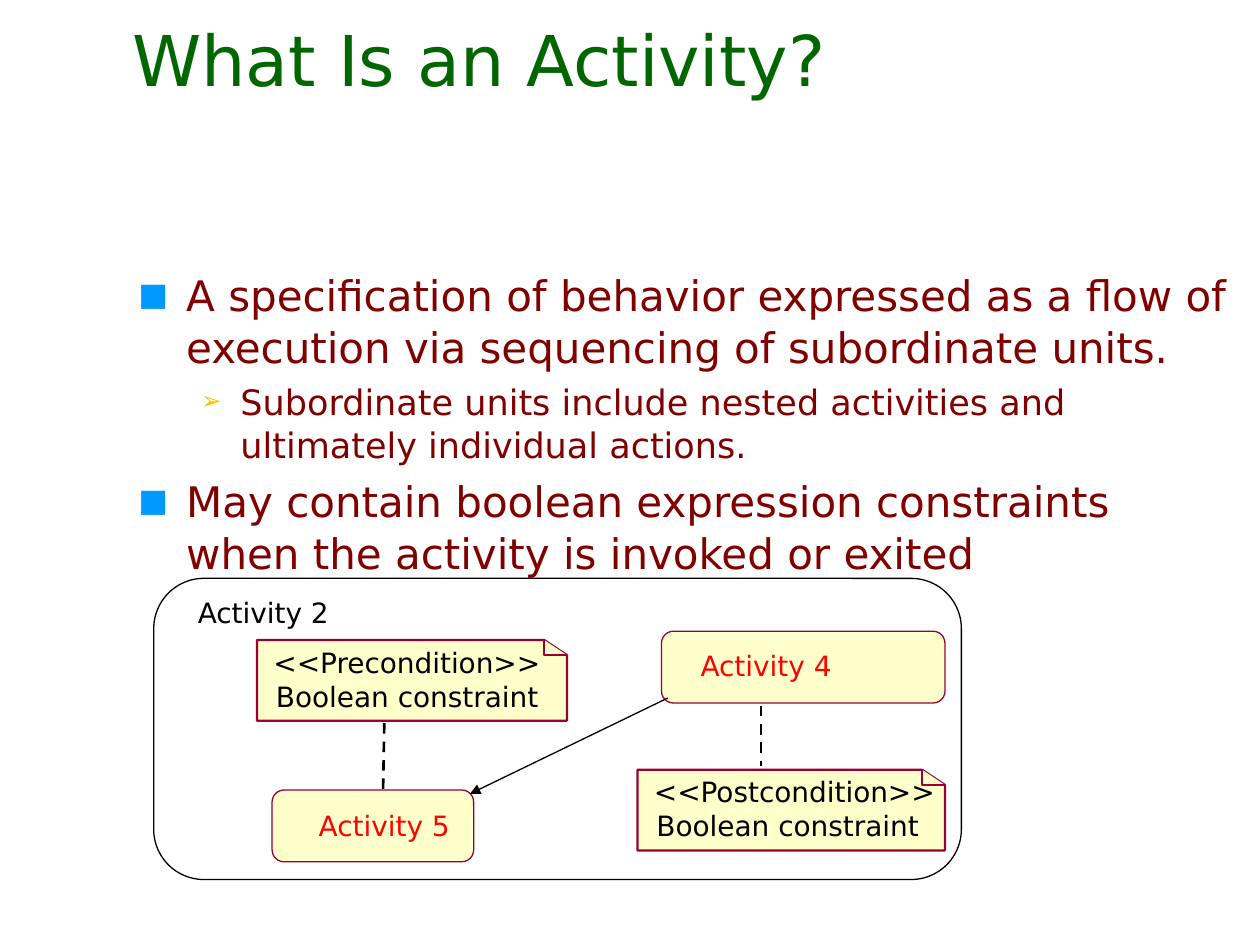
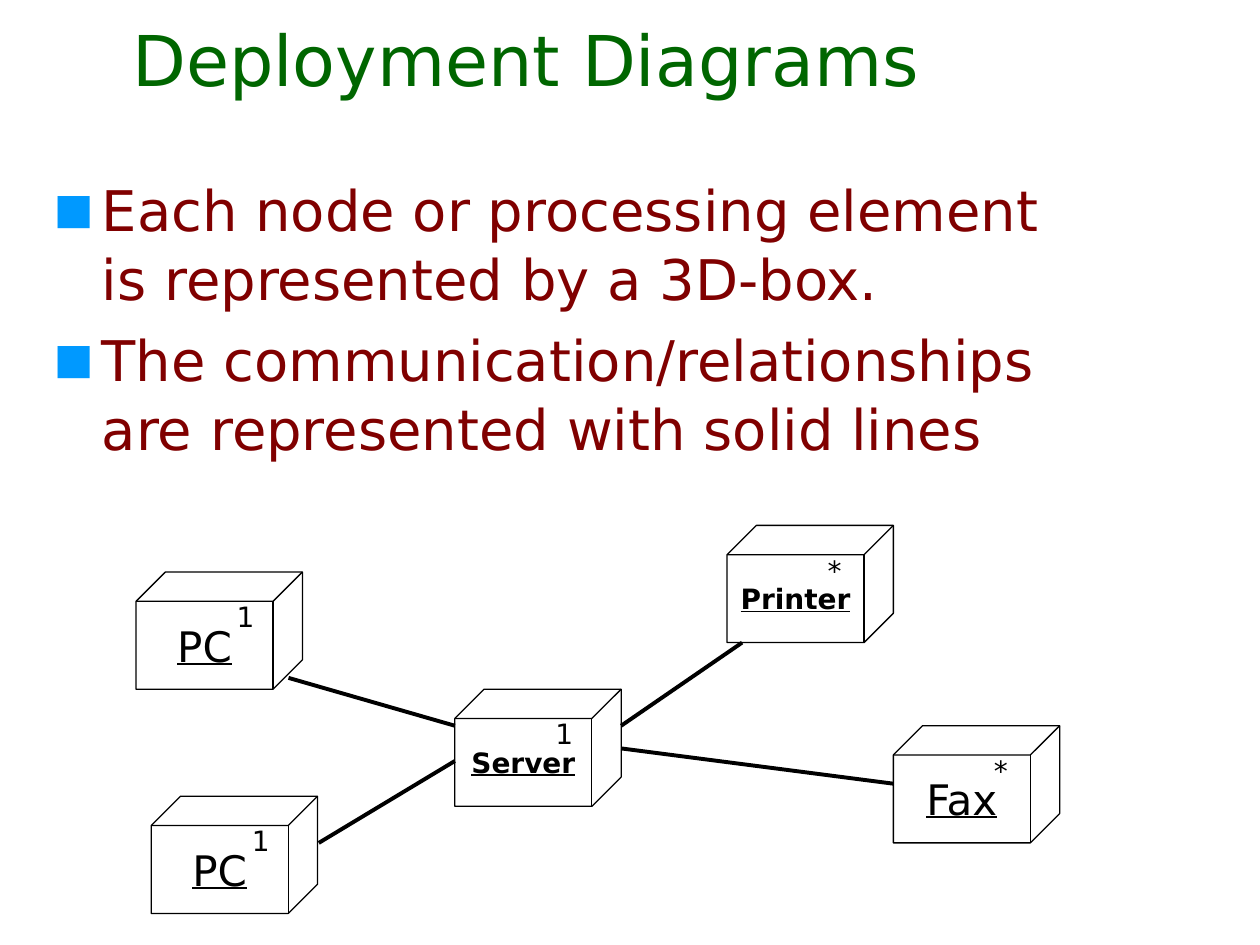
from dataclasses import dataclass
from lxml.etree import SubElement
from pptx import Presentation
from pptx.dml.color import RGBColor as RGB
from pptx.enum.dml import MSO_LINE_DASH_STYLE as Dash
from pptx.enum.shapes import MSO_CONNECTOR as Conn, MSO_SHAPE as Shape
from pptx.enum.text import MSO_ANCHOR as Anchor, MSO_AUTO_SIZE as Auto, PP_ALIGN as Align
from pptx.oxml.ns import qn
from pptx.util import Inches, Pt


@dataclass(frozen=True)
class Theme:
    font: str = "DejaVu Sans"
    title: str = "006600"
    body: str = "800000"
    ink: str = "000000"
    activity: str = "FF0000"
    cream: str = "FFFFCC"
    wine: str = "990033"
    title_size: int = 40
    label_size: int = 16
    node_size: int = 24


T = Theme()
TITLE_BOX = (0.95, 0.08, 8.93, 0.77)
# level: (text indent, hanging indent, bullet, bullet colour, bullet size %)
BULLETS = [(0.38, 0.38, "■", "0099FF", 75), (0.81, 0.31, "➢", "FFC000", 70)]

# Activity slide content
ACTIVITY_TITLE = "What Is an Activity?"
ACTIVITY_BODY = (1, 2.08, 8.87, 4.58)
ACTIVITY_POINTS = [  # text, level, size
    ("A specification of behavior expressed as a flow of execution via "
     "sequencing of subordinate units.", 0, 24),
    ("Subordinate units include nested activities and ultimately "
     "individual actions.", 1, 20),
    ("May contain boolean expression constraints when the activity is "
     "invoked or exited", 0, 24),
]
NOTES = [  # left, top, width, lines
    (2.04, 5.08, 2.46, ("<<Precondition>>", "Boolean constraint")),
    (5.06, 6.11, 2.44, ("<<Postcondition>>", "Boolean constraint")),
]
NOTE_H, FOLD_W, FOLD_H = 0.64, 0.18, 0.12
ACTIVITIES = [  # name, box, label box, fill, line, text colour
    ("Activity 5", (2.16, 6.27, 1.6, 0.57), (2.41, 6.36, 1.43, 0.39),
     T.cream, T.wine, T.activity),
    ("Activity 4", (5.25, 5.01, 2.25, 0.57), (5.44, 5.09, 1.81, 0.39),
     T.cream, T.wine, T.activity),
    ("Activity 2", (1.22, 4.59, 6.41, 2.39), (1.45, 4.67, 1.55, 0.39),
     None, T.ink, T.ink),
]
NOTE_LINKS = [((3.05, 5.74), (3.04, 6.29)), ((6.04, 5.6), (6.04, 6.08))]
FLOW = ((5.3, 5.54), (3.73, 6.3))

# Deployment slide content
DEPLOY_TITLE = "Deployment Diagrams"
DEPLOY_BODY = (0.33, 1.33, 8.5, 2.42)
DEPLOY_POINTS = [
    ("Each node or processing element is represented by a 3D-box.", 0, 32),
    ("The communication/relationships are represented with solid lines", 0, 32),
]
NODE_W, NODE_H = 1.32, 0.93
NODES = [  # name, multiplicity, left, top, size, bold
    ("PC", "1", 1.08, 4.54, T.node_size, False),
    ("PC", "1", 1.2, 6.32, T.node_size, False),
    ("Server", "1", 3.61, 5.47, T.label_size, True),
    ("Printer", "*", 5.77, 4.17, T.label_size, True),
    ("Fax", "*", 7.09, 5.76, T.node_size, False),
]
NODE_LINKS = [
    ((4.93, 5.76), (5.89, 5.1)),
    ((4.93, 5.94), (7.09, 6.22)),
    ((2.29, 5.38), (3.61, 5.76)),
    ((2.53, 6.69), (3.61, 6.04)),
]


# Shared helpers
def inches(values):
    return [Inches(v) for v in values]


def format_runs(p, size, color, bold=False, underline=False):
    for r in p.runs:
        f = r.font
        f.name, f.size, f.bold, f.underline = T.font, Pt(size), bold, underline
        f.color.rgb = RGB.from_string(color)


def style(sp, fill, line, width):
    sp.shadow.inherit = False
    if fill:
        sp.fill.solid()
        sp.fill.fore_color.rgb = RGB.from_string(fill)
    else:
        sp.fill.background()
    sp.line.color.rgb = RGB.from_string(line)
    sp.line.width = Pt(width)


def add_label(s, text, box, color=T.ink, inset=(0.1, 0.05), wrap=True):
    tf = s.shapes.add_textbox(*inches(box)).text_frame
    tf.word_wrap = wrap
    tf.margin_left = tf.margin_right = Inches(inset[0])
    tf.margin_top = tf.margin_bottom = Inches(inset[1])
    tf.text = text
    format_runs(tf.paragraphs[0], T.label_size, color)


def add_line(s, start, end, width, dashed=False, arrow=False):
    c = s.shapes.add_connector(Conn.STRAIGHT, *inches(start + end))
    c.line.color.rgb = RGB.from_string(T.ink)
    c.line.width = Pt(width)
    if dashed:
        c.line.dash_style = Dash.DASH
    if arrow:
        SubElement(c.line._get_or_add_ln(), qn("a:tailEnd"), type="triangle")
    SubElement(c._element.spPr, qn("a:effectLst"))


def add_bullet(p, level):
    left, hang, char, color, percent = BULLETS[level]
    p.level = level
    pPr = p._p.get_or_add_pPr()
    pPr.set("marL", str(Inches(left)))
    pPr.set("indent", str(-Inches(hang)))
    SubElement(SubElement(pPr, qn("a:buClr")), qn("a:srgbClr"), val=color)
    SubElement(pPr, qn("a:buSzPct"), val=str(percent * 1000))
    SubElement(pPr, qn("a:buFont"), typeface=T.font)
    SubElement(pPr, qn("a:buChar"), char=char)


def add_slide(prs, title, body_box, points):
    s = prs.slides.add_slide(prs.slide_layouts[5])
    sp = s.shapes.title
    sp.left, sp.top, sp.width, sp.height = inches(TITLE_BOX)
    tf = sp.text_frame
    tf.text = title
    tf.auto_size = Auto.NONE
    tf.vertical_anchor = Anchor.BOTTOM
    tf.paragraphs[0].alignment = Align.LEFT
    format_runs(tf.paragraphs[0], T.title_size, T.title)

    tf = s.shapes.add_textbox(*inches(body_box)).text_frame
    tf.word_wrap = True
    for i, (text, level, size) in enumerate(points):
        p = tf.add_paragraph() if i else tf.paragraphs[0]
        p.text = text
        p.line_spacing = 1.03
        if i:
            p.space_before = Pt(size * 0.2)
        add_bullet(p, level)
        format_runs(p, size, T.body)
    return s


# Diagram parts
def add_outline(s, points, close):
    start, *rest = [inches(pt) for pt in points]
    fb = s.shapes.build_freeform(*start)
    fb.add_line_segments(rest, close=close)
    style(fb.convert_to_shape(), T.cream, T.wine, 1.25)


def add_note(s, x, y, w, lines):
    right, bottom = x + w, y + NOTE_H
    fold_x, fold_y = right - FOLD_W, y + FOLD_H
    add_outline(s, [(x, y), (fold_x, y), (right, fold_y), (right, bottom),
                    (x, bottom)], True)
    add_outline(s, [(fold_x, y), (fold_x, fold_y), (right, fold_y)], False)
    for i, text in enumerate(lines):
        box = (x + 0.13 + 0.02 * i, y + 0.04 + 0.27 * i, 2.25, 0.27)
        add_label(s, text, box, inset=(0, 0), wrap=False)


def add_activity(s, name, box, label_box, fill, line, color):
    sp = s.shapes.add_shape(Shape.ROUNDED_RECTANGLE, *inches(box))
    style(sp, fill, line, 0)
    add_label(s, name, label_box, color, inset=(0.12, 0.06))


def add_node(s, name, count, x, y, size, bold):
    sp = s.shapes.add_shape(Shape.CUBE, *inches((x, y, NODE_W, NODE_H)))
    style(sp, None, T.ink, 0.75)
    tf = sp.text_frame
    tf.word_wrap = False
    tf.vertical_anchor = Anchor.MIDDLE
    tf.text = name
    tf.paragraphs[0].alignment = Align.CENTER
    format_runs(tf.paragraphs[0], size, T.ink, bold, True)
    add_label(s, count, (x + 0.7, y + 0.17, 0.45, 0.41))


def main():
    prs = Presentation()
    prs.slide_width, prs.slide_height = Inches(10), Inches(7.5)

    # Activity slide
    s = add_slide(prs, ACTIVITY_TITLE, ACTIVITY_BODY, ACTIVITY_POINTS)
    for note in NOTES:
        add_note(s, *note)
    for start, end in NOTE_LINKS:
        add_line(s, start, end, 1.5, dashed=True)
    for activity in ACTIVITIES:
        add_activity(s, *activity)
    add_line(s, *FLOW, 0.75, arrow=True)

    # Deployment slide
    s = add_slide(prs, DEPLOY_TITLE, DEPLOY_BODY, DEPLOY_POINTS)
    for node in NODES:
        add_node(s, *node)
    for start, end in NODE_LINKS:
        add_line(s, start, end, 2.25)

    prs.save("out.pptx")


if __name__ == "__main__":
    main()
